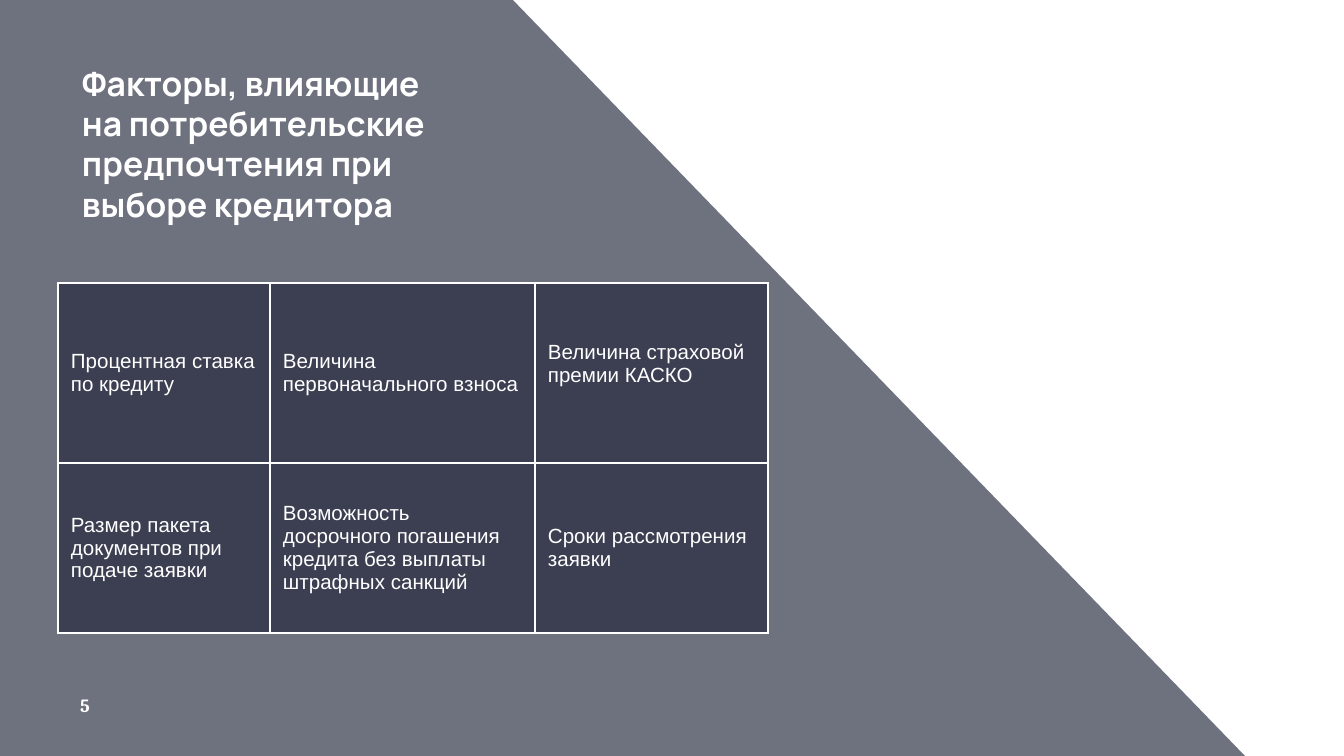
from lxml import etree
from pptx import Presentation, util as u
from pptx.dml.color import RGBColor
from pptx.enum import text
from pptx.oxml.ns import qn

WHITE = RGBColor(0xFF, 0xFF, 0xFF)
NAVY = RGBColor(0x21, 0x25, 0x39)
OPACITY = 65
PX = 914400 / 134.4
WIDTH, HEIGHT = 1344, 756

TITLE = "Факторы, влияющие на потребительские предпочтения при выборе кредитора"
PAGE = "5"
FACTORS = [
    ["Процентная ставка по кредиту", "Величина первоначального взноса",
     "Величина страховой премии КАСКО"],
    ["Размер пакета документов при подаче заявки",
     "Возможность досрочного погашения кредита без выплаты штрафных санкций",
     "Сроки рассмотрения заявки"],
]
COLS = [212, 265, 233]
ROWS = [180, 170]
RAISED = (0, 2)  # this cell's text sits above the middle
BACKDROP = [(512, -1), (0, 0), (0, 757), (1246, 757)]


def px(n):
    return u.Emu(round(n * PX))


def fill_navy(fill):
    """Fill with translucent navy."""
    fill.solid()
    fill.fore_color.rgb = NAVY
    clr = fill._xPr.find(".//" + qn("a:srgbClr"))
    etree.SubElement(clr, qn("a:alpha"), val=str(OPACITY * 1000))


def style(p, name, size, bold=False):
    for r in p.runs:
        r.font.name, r.font.size, r.font.bold = name, u.Pt(size), bold
        r.font.color.rgb = WHITE


def add_label(s, words, box, anchor, name, size):
    tf = s.shapes.add_textbox(*map(px, box)).text_frame
    tf.word_wrap = True
    tf.vertical_anchor = anchor
    tf.margin_left = tf.margin_right = tf.margin_top = tf.margin_bottom = px(13)
    tf.text = words
    style(tf.paragraphs[0], name, size, bold=True)


def add_borders(cell):
    """Outline a cell; border elements must precede its fill."""
    tc_pr = cell._tc.get_or_add_tcPr()
    for i, side in enumerate(("lnL", "lnR", "lnT", "lnB")):
        ln = etree.Element(qn("a:" + side), w=str(u.Pt(1.5)))
        solid = etree.SubElement(ln, qn("a:solidFill"))
        etree.SubElement(solid, qn("a:srgbClr"), val=str(WHITE))
        tc_pr.insert(i, ln)


def add_factors(s):
    frame = s.shapes.add_table(len(ROWS), len(COLS), px(58), px(283),
                               px(sum(COLS)), px(sum(ROWS)))
    table = frame.table
    table.first_row = table.horz_banding = False
    for col, w in zip(table.columns, COLS):
        col.width = px(w)
    for i, (row, h) in enumerate(zip(table.rows, ROWS)):
        row.height = px(h)
        for j, words in enumerate(FACTORS[i]):
            cell = row.cells[j]
            cell.text = words
            cell.vertical_anchor = text.MSO_ANCHOR.MIDDLE
            cell.margin_left = cell.margin_right = px(13)
            cell.margin_top = px(9)
            cell.margin_bottom = px(28 if (i, j) == RAISED else 9)
            style(cell.text_frame.paragraphs[0], "Arial", 11)
            fill_navy(cell.fill)
            add_borders(cell)


prs = Presentation()
prs.slide_width, prs.slide_height = px(WIDTH), px(HEIGHT)
s = prs.slides.add_slide(prs.slide_layouts[6])

builder = s.shapes.build_freeform(*BACKDROP[0], scale=PX)
builder.add_line_segments(BACKDROP[1:], close=True)
sp = builder.convert_to_shape()
sp.shadow.inherit = False
sp.line.fill.background()
fill_navy(sp.fill)

add_label(s, TITLE, (69, 50, 383, 187), text.MSO_ANCHOR.BOTTOM, "Manrope", 18)
add_label(s, PAGE, (67, 687, 81, 36), text.MSO_ANCHOR.MIDDLE, "Cambria", 10)
add_factors(s)

prs.save("out.pptx")
